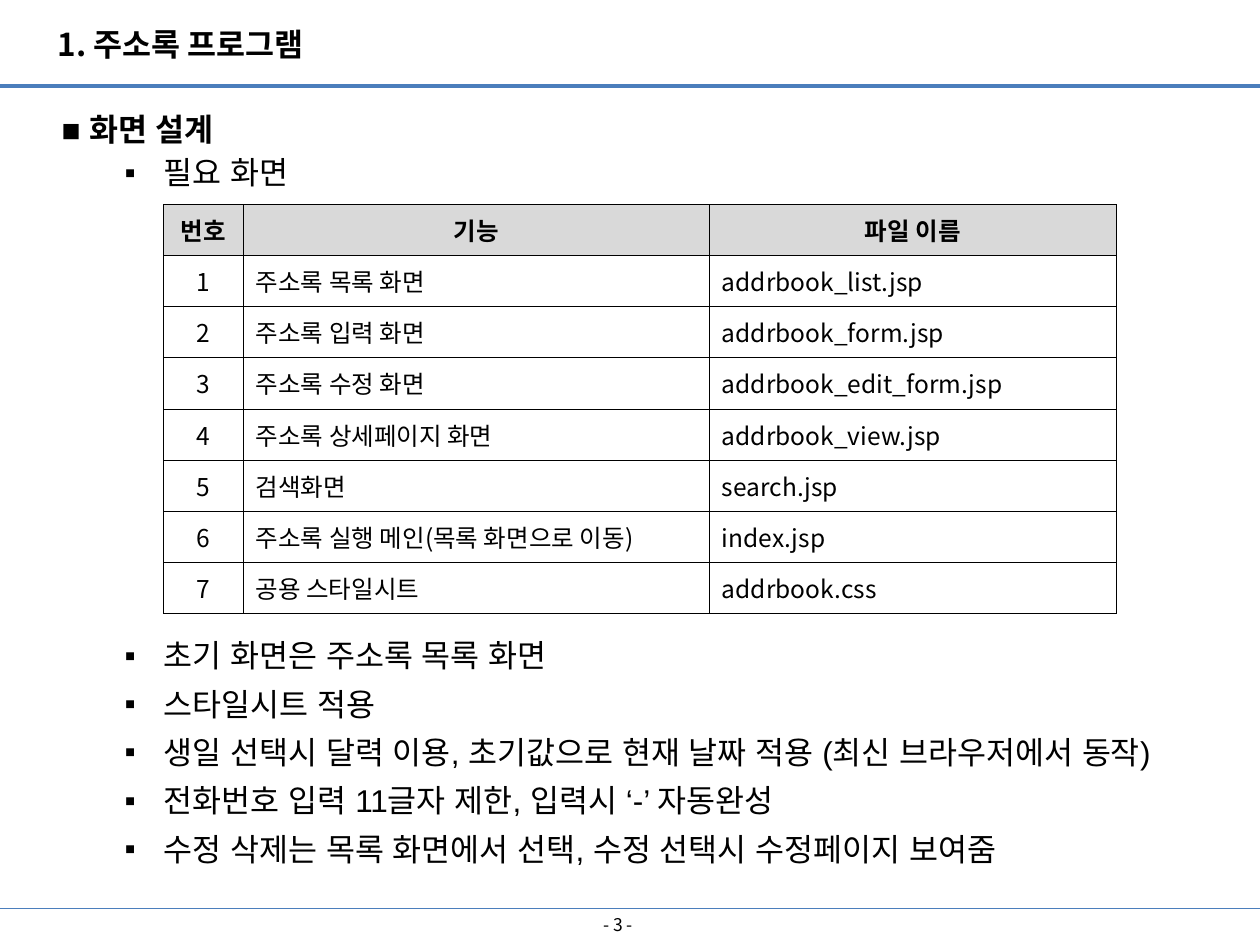
from dataclasses import dataclass
from typing import NamedTuple

from lxml.etree import SubElement
from pptx import Presentation
from pptx.dml.color import RGBColor
from pptx.enum.shapes import MSO_CONNECTOR
from pptx.enum.text import MSO_ANCHOR as Anchor, MSO_AUTO_SIZE as AutoSize, PP_ALIGN as Align
from pptx.oxml.ns import qn
from pptx.util import Pt

KOREAN = "Noto Sans CJK KR"
BLACK = "000000"
BLUE = "4B7EBC"
HEADER_GREY = "D9D9D9"
BULLET_INDENT = 22.5
BULLET_LEFT = 58.5
BULLET_SPACE = 3
TABLE_GAP = 251.4


class Box(NamedTuple):
    left: float
    top: float
    width: float
    height: float


@dataclass
class Rule:
    y: float
    weight: float


@dataclass
class Point:
    text: str
    space_after: float = BULLET_SPACE


class Screen(NamedTuple):
    number: str
    purpose: str
    file_name: str


RULES = [Rule(49, 2.25), Rule(519.1, 0.75)]
POINTS = [
    Point("필요 화면", TABLE_GAP),
    Point("초기 화면은 주소록 목록 화면"),
    Point("스타일시트 적용"),
    Point("생일 선택시 달력 이용, 초기값으로 현재 날짜 적용 (최신 브라우저에서 동작)"),
    Point("전화번호 입력 11글자 제한, 입력시 ‘-’ 자동완성"),
    Point("수정 삭제는 목록 화면에서 선택, 수정 선택시 수정페이지 보여줌"),
]
COLUMN_WIDTHS = [45.6, 266.4, 232.6]
ROW_HEIGHT = 29.2
HEADER = Screen("번호", "기능", "파일 이름")
SCREENS = [
    Screen("1", "주소록 목록 화면", "addrbook_list.jsp"),
    Screen("2", "주소록 입력 화면", "addrbook_form.jsp"),
    Screen("3", "주소록 수정 화면", "addrbook_edit_form.jsp"),
    Screen("4", "주소록 상세페이지 화면", "addrbook_view.jsp"),
    Screen("5", "검색화면", "search.jsp"),
    Screen("6", "주소록 실행 메인(목록 화면으로 이동)", "index.jsp"),
    Screen("7", "공용 스타일시트", "addrbook.css"),
]


def color(hex_value: str) -> RGBColor:
    return RGBColor.from_string(hex_value)


def apply(target, values: dict) -> None:
    for name, value in values.items():
        setattr(target, name, value)


def write(paragraph, text: str, size: float, font: str = KOREAN, bold: bool = False, **layout) -> None:
    apply(paragraph, layout)
    run = paragraph.add_run()
    run.text = text
    apply(run.font, {"name": font, "size": Pt(size), "bold": bold})
    run.font.color.rgb = color(BLACK)
    SubElement(run.font._element, qn("a:ea"), typeface=font)


def add_text_box(slide, box: Box, anchor: Anchor):
    frame = slide.shapes.add_textbox(*map(Pt, box)).text_frame
    apply(frame, {"word_wrap": True, "vertical_anchor": anchor})
    return frame


def add_rule(slide, rule: Rule) -> None:
    line = slide.shapes.add_connector(MSO_CONNECTOR.STRAIGHT, 0, Pt(rule.y), Pt(720), Pt(rule.y))
    line.line.color.rgb = color(BLUE)
    line.line.width = Pt(rule.weight)
    SubElement(line._element.spPr, qn("a:effectLst"))


def add_title(slide, text: str) -> None:
    title = slide.shapes.title
    apply(title, dict(zip(Box._fields, map(Pt, Box(25.9, 10.8, 190, 28.8)))))
    apply(title.text_frame, {"word_wrap": True, "auto_size": AutoSize.NONE,
                             "vertical_anchor": Anchor.MIDDLE})
    write(title.text_frame.paragraphs[0], text, 18, bold=True, alignment=Align.LEFT)


def add_point(frame, point: Point) -> None:
    paragraph = frame.add_paragraph()
    write(paragraph, point.text, 18, "Arial", level=1, line_spacing=Pt(21.6),
          space_before=Pt(BULLET_SPACE), space_after=Pt(point.space_after))
    properties = paragraph._p.get_or_add_pPr()
    properties.set("marL", str(Pt(BULLET_LEFT)))
    properties.set("indent", str(-Pt(BULLET_INDENT)))
    SubElement(properties, qn("a:buFont"), typeface="Arial")
    SubElement(properties, qn("a:buChar"), char="▪")


def add_borders(cell) -> None:
    properties = cell._tc.get_or_add_tcPr()
    for side in ("lnL", "lnR", "lnT", "lnB"):
        border = SubElement(properties, qn(f"a:{side}"), w=str(Pt(0.25)))
        SubElement(SubElement(border, qn("a:solidFill")), qn("a:srgbClr"), val=BLACK)


def fill_cell(cell, text: str, is_header: bool, centred: bool) -> None:
    cell.vertical_anchor = Anchor.MIDDLE
    add_borders(cell)
    if is_header:
        cell.fill.solid()
        cell.fill.fore_color.rgb = color(HEADER_GREY)
    else:
        cell.fill.background()
    write(cell.text_frame.paragraphs[0], text, 14, bold=is_header,
          alignment=Align.CENTER if centred else Align.LEFT)


def add_screen_table(slide) -> None:
    rows = [HEADER, *SCREENS]
    box = Box(93.4, 116.8, sum(COLUMN_WIDTHS), ROW_HEIGHT * len(rows))
    table = slide.shapes.add_table(len(rows), len(COLUMN_WIDTHS), *map(Pt, box)).table
    apply(table, {"first_row": False, "horz_banding": False})
    for column, width in zip(table.columns, COLUMN_WIDTHS):
        column.width = Pt(width)
    for r, screen in enumerate(rows):
        table.rows[r].height = Pt(ROW_HEIGHT)
        for c, text in enumerate(screen):
            fill_cell(table.cell(r, c), text, r == 0, r == 0 or c == 0)


def main() -> None:
    deck = Presentation()
    apply(deck, {"slide_width": Pt(720), "slide_height": Pt(540)})
    slide = deck.slides.add_slide(deck.slide_layouts[5])
    for rule in RULES:
        add_rule(slide, rule)
    add_title(slide, "1. 주소록 프로그램")
    design = add_text_box(slide, Box(28.1, 49, 690, 455), Anchor.TOP)
    write(design.paragraphs[0], "■ 화면 설계", 18, "Arial", True, line_spacing=Pt(32))
    for point in POINTS:
        add_point(design, point)
    page_number = add_text_box(slide, Box(269.3, 519.1, 167.8, 18.7), Anchor.MIDDLE)
    write(page_number.paragraphs[0], "- 3 -", 10, alignment=Align.CENTER)
    add_screen_table(slide)
    deck.save("out.pptx")


if __name__ == "__main__":
    main()
